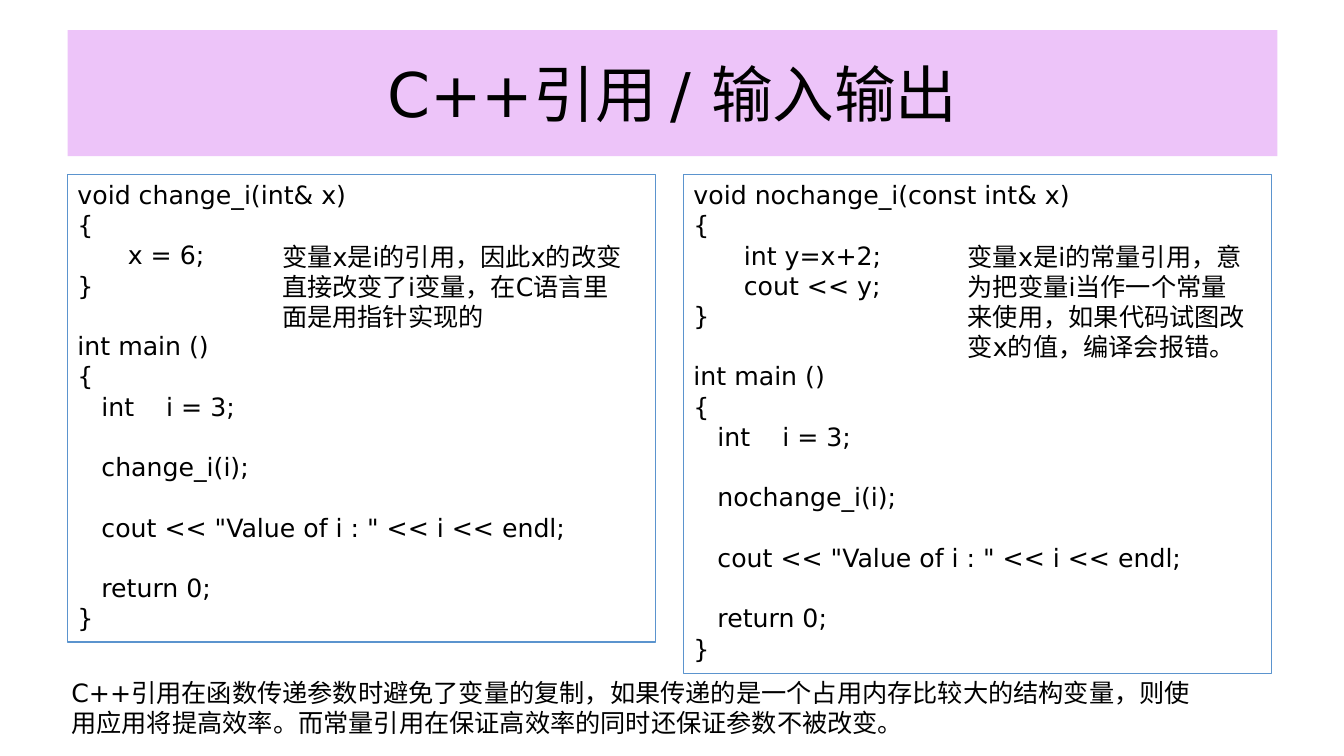
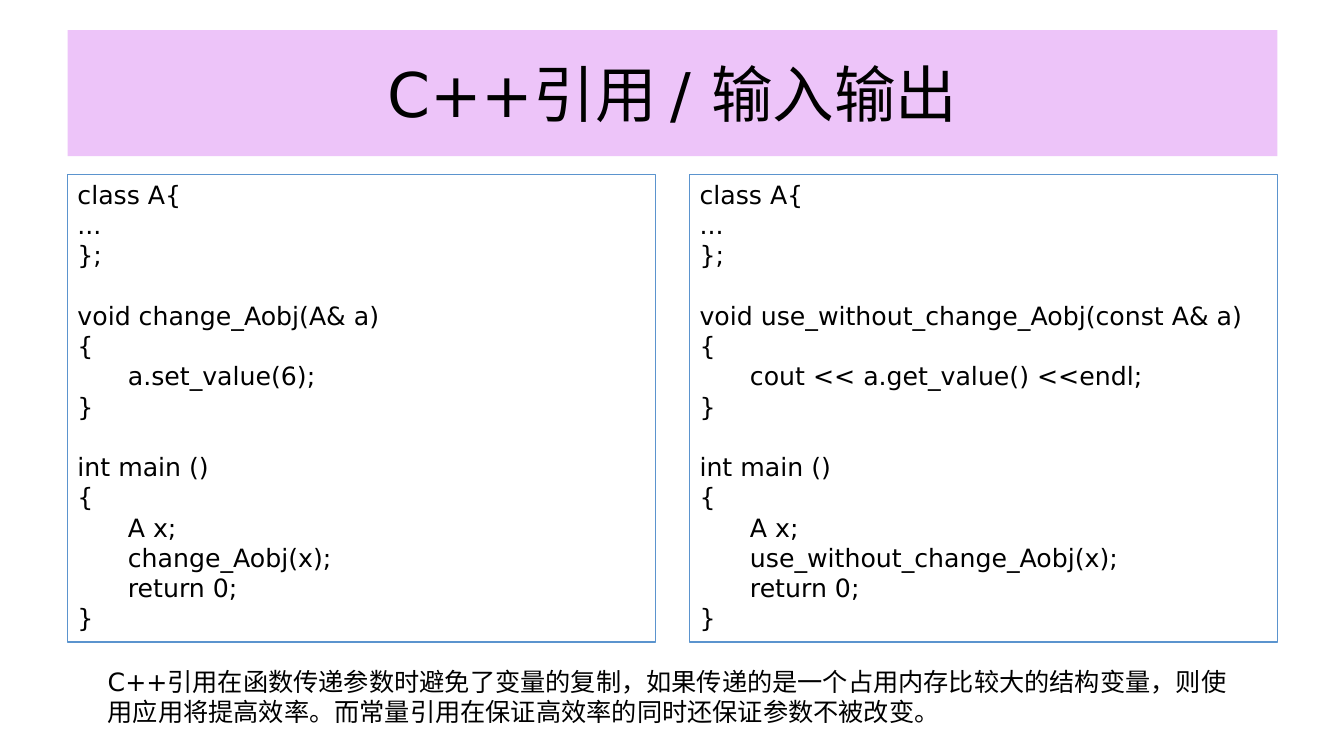
from dataclasses import dataclass

from lxml import etree
from pptx import Presentation
from pptx import util as u
from pptx.dml.color import RGBColor
from pptx.enum import lang, shapes, text
from pptx.oxml.ns import qn

EMU_PER_PX = 9144


@dataclass(frozen=True)
class Theme:
    font: str = "DejaVu Sans"
    ink: RGBColor = RGBColor(0x00, 0x00, 0x00)
    band: RGBColor = RGBColor(0xED, 0xC4, 0xF9)
    frame: RGBColor = RGBColor(0x5B, 0x94, 0xCE)
    title_size: int = 44
    body_size: int = 18
    frame_width: int = 1


THEME = Theme()
TITLE = "C++引用 / 输入输出"
TITLE_AREA = (67, 30, 1200, 125)
CODE_TOP, CODE_WIDTH = 173, 583
SUMMARY = (
    "C++引用在函数传递参数时避免了变量的复制，如果传递的是一个占用内存比较大的结构变量，"
    "则使用应用将提高效率。而常量引用在保证高效率的同时还保证参数不被改变。"
)
REFERENCE_NOTE = "变量x是i的引用，因此x的改变直接改变了i变量，在C语言里面是用指针实现的"
CONST_NOTE = (
    "变量x是i的常量引用，意为把变量i当作一个常量来使用，"
    "如果代码试图改变x的值，编译会报错。"
)


def px(*lengths):
    return [u.Emu(length * EMU_PER_PX) for length in lengths]


def integer_code(name, parameter, body):
    """Listing of a function taking an int reference, and its caller."""
    return f"""void {name}({parameter})
{{
{body}
}}

int main ()
{{
   int    i = 3;

   {name}(i);

   cout << "Value of i : " << i << endl;

   return 0;
}}"""


def object_code(name, parameter, body):
    """Listing of a function taking an object reference, and its caller."""
    return f"""class A{{
...
}};

void {name}({parameter})
{{
{body}
}}

int main ()
{{
\tA x;
\t{name}(x);
\treturn 0;
}}"""


def keep_line_height(para):
    """Give an empty code line the same font as the lines around it."""
    end = etree.SubElement(para._p, qn("a:endParaRPr"), sz=str(THEME.body_size * 100))
    etree.SubElement(end, qn("a:latin"), typeface=THEME.font)


def write(frame, content, size=THEME.body_size, align=text.PP_ALIGN.LEFT):
    frame.word_wrap = True
    for index, line in enumerate(content.split("\n")):
        para = frame.add_paragraph() if index else frame.paragraphs[0]
        para.alignment = align
        if not line:
            keep_line_height(para)
            continue
        span = para.add_run()
        span.text = line
        span.font.name = THEME.font
        span.font.size = u.Pt(size)
        span.font.color.rgb = THEME.ink
        span.font.language_id = lang.MSO_LANGUAGE_ID.SIMPLIFIED_CHINESE


def add_page(deck):
    page = deck.slides.add_slide(deck.slide_layouts[5])
    title = page.shapes.title
    title.left, title.top, title.width, title.height = px(*TITLE_AREA)
    title.fill.solid()
    title.fill.fore_color.rgb = THEME.band
    title.text_frame.vertical_anchor = text.MSO_ANCHOR.MIDDLE
    write(title.text_frame, TITLE, THEME.title_size, text.PP_ALIGN.CENTER)
    return page


def add_code(page, left, height, code):
    area = px(left, CODE_TOP, CODE_WIDTH, height)
    box = page.shapes.add_shape(shapes.MSO_SHAPE.RECTANGLE, *area)
    box.shadow.inherit = False
    box.fill.background()
    box.line.color.rgb = THEME.frame
    box.line.width = u.Pt(THEME.frame_width)
    box.text_frame.vertical_anchor = text.MSO_ANCHOR.TOP
    box.text_frame.auto_size = text.MSO_AUTO_SIZE.SHAPE_TO_FIT_TEXT
    write(box.text_frame, code)


def add_note(page, left, top, width, height, content):
    box = page.shapes.add_textbox(*px(left, top, width, height))
    box.text_frame.auto_size = text.MSO_AUTO_SIZE.SHAPE_TO_FIT_TEXT
    write(box.text_frame, content)


def add_integer_page(deck):
    page = add_page(deck)
    # The blank lines beside the longer note keep main() below it.
    add_code(page, 67, 464, integer_code("change_i", "int& x", "\tx = 6;"))
    add_code(page, 678, 495, integer_code(
        "nochange_i", "const int& x", "\tint y=x+2;\n\tcout << y;"))
    add_note(page, 270, 234, 366, 101, REFERENCE_NOTE)
    add_note(page, 950, 234, 301, 131, CONST_NOTE)
    add_note(page, 61, 667, 1140, 71, SUMMARY)


def add_object_page(deck):
    page = add_page(deck)
    add_code(page, 67, 464, object_code("change_Aobj", "A& a", "\ta.set_value(6);"))
    add_code(page, 684, 464, object_code(
        "use_without_change_Aobj", "const A& a", "\tcout << a.get_value() <<endl;"))
    add_note(page, 97, 656, 1140, 71, SUMMARY)


def main():
    deck = Presentation()
    deck.slide_width, deck.slide_height = px(1333, 750)
    add_integer_page(deck)
    add_object_page(deck)
    deck.save("out.pptx")


if __name__ == "__main__":
    main()
